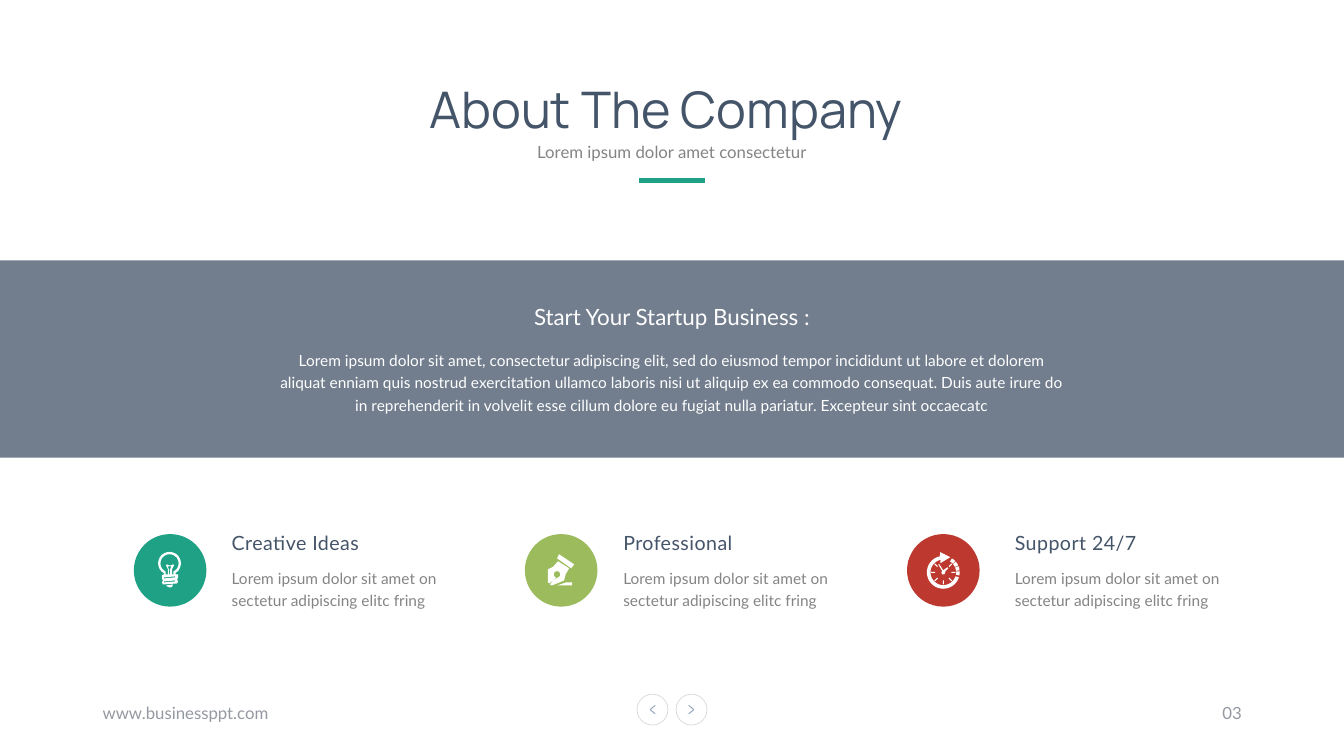
from dataclasses import dataclass
from math import cos, radians, sin

from lxml import etree
from pptx import Presentation
from pptx.dml.color import RGBColor
from pptx.enum.shapes import MSO_CONNECTOR, MSO_SHAPE
from pptx.enum.text import MSO_ANCHOR, MSO_AUTO_SIZE, PP_ALIGN
from pptx.oxml.ns import qn
from pptx.util import Inches, Pt

LEFT, MID, RIGHT = PP_ALIGN.LEFT, PP_ALIGN.CENTER, PP_ALIGN.RIGHT
TOP, CENTER = MSO_ANCHOR.TOP, MSO_ANCHOR.MIDDLE
FIXED = MSO_AUTO_SIZE.NONE
RECT, OVAL = MSO_SHAPE.RECTANGLE, MSO_SHAPE.OVAL
STRAIGHT = MSO_CONNECTOR.STRAIGHT
COLS, ROWS = 160, 90


@dataclass(frozen=True)
class Theme:
    navy: str = "445469"
    gray: str = "848484"
    foot: str = "9499A1"
    white: str = "FFFFFF"
    teal: str = "1EA185"
    green: str = "9BBB5C"
    red: str = "BD392F"
    rim: str = "D9D9D9"
    arrow: str = "99A8BD"
    head: str = "Manrope"
    font: str = "Lato"
    title: int = 36
    lead: int = 16
    name: int = 14
    note: int = 12
    body: int = 11


class Page:
    def __init__(self, deck, theme):
        self.theme = theme
        self.col = deck.slide_width / COLS
        self.row = deck.slide_height / ROWS
        self.slide = deck.slides.add_slide(deck.slide_layouts[0])
        self.shapes = self.slide.shapes

    def box(self, x, y, w, h):
        return [round(n) for n in (x * self.col, y * self.row, w * self.col, h * self.row)]

    def label(self, shape, text, size, color, align=LEFT, font=None,
              anchor=TOP, lead=1.0, track=0):
        frame = shape.text_frame
        frame.word_wrap = True
        frame.auto_size = FIXED
        frame.vertical_anchor = anchor
        frame.text = text
        for para in frame.paragraphs:
            para.alignment = align
            para.line_spacing = lead
            para.space_before = Pt(0)
            for run in para.runs:
                run.font.size = Pt(size)
                run.font.name = font or self.theme.font
                run.font.color.rgb = RGBColor.from_string(color)
                if track:
                    run._r.get_or_add_rPr().set("spc", str(track))

    def text(self, area, *args, **style):
        self.label(self.shapes.add_textbox(*self.box(*area)), *args, **style)

    def holder(self, index, area, *args, **style):
        shape = self.slide.placeholders[index]
        shape.left, shape.top, shape.width, shape.height = self.box(*area)
        self.label(shape, *args, **style)

    def paint(self, shape, fill, alpha=100):
        shape.shadow.inherit = False
        shape.line.fill.background()
        shape.fill.solid()
        shape.fill.fore_color.rgb = RGBColor.from_string(fill)
        if alpha < 100:
            color = shape._element.spPr.find(".//" + qn("a:srgbClr"))
            etree.SubElement(color, qn("a:alpha")).set("val", str(alpha * 1000))

    def block(self, kind, area, fill, alpha=100):
        self.paint(self.shapes.add_shape(kind, *self.box(*area)), fill, alpha)

    def ring(self, area, color):
        shape = self.shapes.add_shape(OVAL, *self.box(*area))
        shape.shadow.inherit = False
        shape.fill.background()
        shape.line.color.rgb = RGBColor.from_string(color)
        shape.line.width = Pt(0.5)

    def line(self, start, end, color, width):
        ends = self.box(*start, *end)
        link = self.shapes.add_connector(STRAIGHT, *ends)
        link.line.color.rgb = RGBColor.from_string(color)
        link.line.width = Pt(width)
        etree.SubElement(link._element.spPr, qn("a:effectLst"))

    def icon(self, x, y, loops):
        scaled = [[(a * 10, b * 10) for a, b in loop] for loop in loops]
        pen = self.shapes.build_freeform(*scaled[0][0], scale=Inches(1) / 1000)
        for loop in scaled:
            if loop is not scaled[0]:
                pen.move_to(*loop[0])
            pen.add_line_segments(loop[1:], close=True)
        origin = self.box(x, y, 0, 0)[:2]
        self.paint(pen.convert_to_shape(*origin), self.theme.white)


def arc(x, y, size, start, end, steps=24):
    turn = [radians(start + (end - start) * n / steps) for n in range(steps + 1)]
    return [(x + size * cos(a), y + size * sin(a)) for a in turn]


def band(start, end):
    return arc(0, 2, 16.3, start, end) + arc(0, 2, 12.7, end, start)


def tick(angle):
    a = radians(angle)
    return [(r * cos(a) - s * sin(a), 2 + r * sin(a) + s * cos(a))
            for r, s in ((8, -0.5), (12, -0.5), (12, 0.5), (8, 0.5))]


def bulb():
    glass = arc(-0.5, -7, 11.3, 120, 420)
    base = [(6, 4), (8, 4), (8, 7), (7, 9), (8, 11), (7, 13),
            (-7, 14), (-8, 12), (-7, 10), (-8, 8), (-8, 5), (-6, 4)]
    inner = arc(-0.5, -7, 9, 115, 425) + [(3.5, 4), (-4.5, 4)]
    wire = [(-2, 4), (-2, -1), (-4, -5), (-3, -6), (-1, -5), (1, -5),
            (3, -6), (4, -5), (2, -1), (2, 4)]
    gap = [(-1, 4), (-1, -1), (-2.5, -4), (1.5, -4), (0, -1), (0, 4)]
    slits = [[(-6, y), (5, y - 1), (5, y), (-6, y + 1)] for y in (7, 11)]
    tip = [(-4, 15), (3, 14), (2, 16.5), (0, 17), (-2, 16.5)]
    return [glass + base, inner, wire, gap, *slits, tip]


def nib():
    point = [(-12, 13), (-13, 12), (-13, -1), (-8, -3.5), (-3, -9), (8, -2),
             (4.5, 4), (3, 10), (-9, 15), (-11, 14), (-5, 7)]
    eye = arc(-4, 4, 3.2, 110, 440)
    foot = [(-4, 15), (11, 15), (11, 12), (5, 12)]
    cap = [(10, -2), (13, -6), (-2, -16), (-4, -12)]
    return [point + eye, foot, cap]


def clock():
    sweep = (arc(0, 2, 16.3, 18, 258) + [(-3, -18), (7, -13), (-3, -7)]
             + arc(0, 2, 12.7, 258, 18))
    dashes = [band(a, a + 15) for a in range(-58, 0, 18)]
    ticks = [tick(a) for a in range(-45, 226, 45)]
    hands = [(-5, -6), (-4, -6), (0, 0), (4, -3), (5, -2), (2, 1),
             (2, 2), (1, 4), (-1, 4), (-2, 2), (-1, 1)]
    return [sweep, *dashes, *ticks, hands]


def main():
    deck = Presentation()
    deck.slide_width, deck.slide_height = Inches(13.333), Inches(7.5)
    theme = Theme()
    page = Page(deck, theme)

    page.holder(0, (40.8, 8.64, 77, 8.52), "About The Company",
                theme.title, theme.navy, MID, theme.head)
    page.holder(1, (51.7, 15.36, 56.6, 4.2), "Lorem ipsum dolor amet consectetur",
                theme.note, theme.gray, MID, lead=1.4)
    page.line((76.1, 21.48), (83.9, 21.48), theme.teal, 3)

    page.block(RECT, (0, 31, COLS, 23.5), theme.navy, 75)
    page.text((59.4, 35.52, 41.2, 4.44), "Start Your Startup Business :",
              theme.lead, theme.white, MID)
    story = (
        "Lorem ipsum dolor sit amet, consectetur adipiscing elit, sed do eiusmod tempor incididunt ut labore et dolorem",
        "aliquat enniam quis nostrud exercitation ullamco laboris nisi ut aliquip ex ea commodo consequat. Duis aute irure do",
        "in reprehenderit in volvelit esse cillum dolore eu fugiat nulla pariatur. Excepteur sint occaecatc",
    )
    page.text((28.2, 40.8, 103.6, 9.24), "\n".join(story),
              theme.body, theme.white, MID, lead=1.2)

    items = (
        ("Creative Ideas", theme.teal, 20.25, bulb()),
        ("Professional", theme.green, 66.8, nib()),
        ("Support 24/7", theme.red, 112.3, clock()),
    )
    size, middle = 8.64, 67.9
    for n, (name, color, x, loops) in enumerate(items):
        left = 26.4 + n * 46.62
        page.block(OVAL, (x - size / 2, middle - size / 2, size, size), color)
        page.icon(x, middle, loops)
        page.text((left, 62.64, 24.2, 4.08), name, theme.name, theme.navy, track=30)
        page.text((left, 66.72, 31, 6.24),
                  "Lorem ipsum dolor sit amet on sectetur adipiscing elitc fring",
                  theme.body, theme.gray, lead=1.2)

    page.text((11.04, 82.44, 54, 4.8), "www.businessppt.com",
              theme.note, theme.foot, anchor=CENTER)
    page.text((113.04, 82.44, 36, 4.8), "03",
              theme.note, theme.foot, RIGHT, anchor=CENTER)
    for side in (-1, 1):
        page.ring((80 + side * 2.32 - 1.84, 82.64, 3.68, 3.68), theme.rim)
        for rise in (-0.5, 0.5):
            page.line((80 + side * 2.6, 84.48), (80 + side * 2, 84.48 + rise),
                      theme.arrow, 0.75)

    deck.save("out.pptx")


if __name__ == "__main__":
    main()
